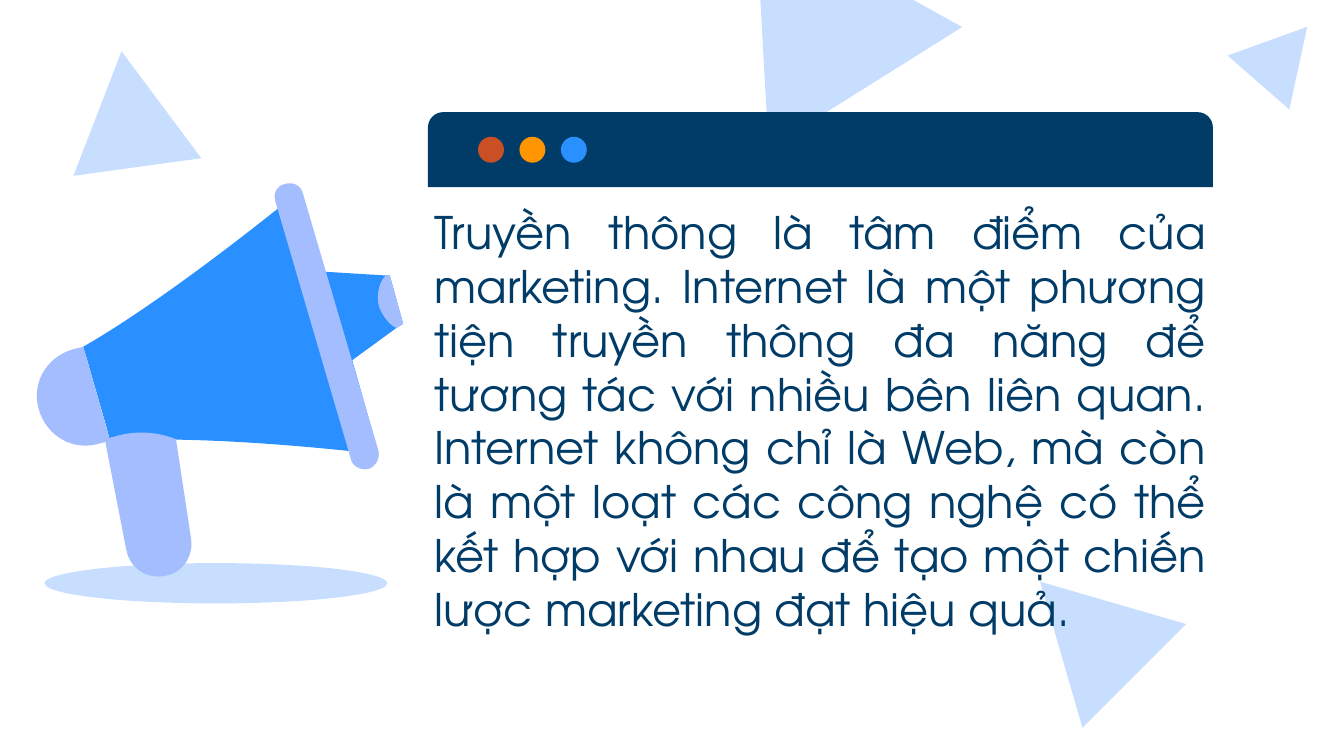
from math import cos, radians, sin

from lxml import etree
from pptx import Presentation
from pptx.dml.color import RGBColor
from pptx.enum import shapes, text
from pptx.oxml import ns
from pptx.util import Pt

# Colours
WHITE = RGBColor(0xFF, 0xFF, 0xFF)
NAVY = RGBColor(0x00, 0x3C, 0x67)
BLUE = RGBColor(0x2A, 0x90, 0xFF)
ORANGE = RGBColor(0xFF, 0x95, 0x00)
RED = RGBColor(0xCA, 0x4F, 0x24)
PALE = RGBColor(0xC8, 0xDE, 0xFF)
LILAC = RGBColor(0xA3, 0xBD, 0xFF)

# Content, lengths in points
BODY = (
    "Truyền thông là tâm điểm của marketing. Internet là một phương tiện "
    "truyền thông đa năng để tương tác với nhiều bên liên quan. Internet "
    "không chỉ là Web, mà còn là một loạt các công nghệ có thể kết hợp với "
    "nhau để tạo một chiến lược marketing đạt hiệu quả."
)
BODY_BOX = (225.5, 135.7, 427.7, 178.6)
FONT = "TeX Gyre Adventor"

TRIANGLES = [  # left, top, width, height, rotation
    (373, -55.4, 122.4, 110.9, 327.9),
    (34.8, 27.2, 69.1, 62.6, 352.2),
    (665.3, 9.5, 43.9, 39.6, 41.2),
    (543.2, 301.2, 78.5, 71.3, 315),
]

# Outlines: a pair is a corner, six numbers are a Bezier curve to the last pair
WINDOW = [
    (WHITE, [(229.3, 100.3), (229.3, 273.9), (229.3, 278.6, 232.9, 282.2, 237.6, 282.2),
             (641.5, 282.2), (646.2, 282.2, 649.8, 278.6, 649.8, 273.9),
             (649.8, 100.3)]),
    (NAVY, [(237.6, 60.1), (232.9, 60.1, 229.3, 63.8, 229.3, 68.4), (229.3, 100.3),
            (649.8, 100.3), (649.8, 68.4), (649.8, 63.8, 646.2, 60.1, 641.5, 60.1)]),
]
DOT_COLOURS = [RED, ORANGE, BLUE]
DOT_LEFT, DOT_TOP, DOT_SIZE, DOT_STEP = 256.1, 73.3, 13.9, 22.2

SHADOW_BOX = (23.8, 301.7, 183.6, 21.6)
MEGAPHONE_TILT = 343.7
MEGAPHONE = [
    # mouthpiece and its end
    (BLUE, [(171.4, 145.4), (185.8, 195.1), (212.4, 175.7), (216, 173.5),
            (208.8, 147.6), (206.6, 147.6)]),
    (LILAC, [(206.6, 147.6), (203, 151.2, 201.6, 157.7, 203, 164.2),
             (205.2, 169.9, 208.8, 174.2, 212.4, 175.7), (216, 173.5),
             (208.8, 147.6)]),
    # cone
    (BLUE, [(161, 102), (161, 102, 93.6, 157.7, 44.6, 185.8), (46.8, 193),
            (56.9, 228.2), (59, 236.2), (115.9, 232.6, 203, 243.4, 203, 243.4),
            (187.9, 190.1), (177.1, 154.8)]),
    # rim
    (LILAC, [(152.6, 98.6), (148.3, 99.4, 146.2, 103.7, 147.6, 108),
             (187.9, 245.5), (188.6, 249.8, 193, 252, 197.3, 251.3),
             (201.6, 249.8, 203.8, 245.5, 202.7, 241.2), (162.3, 103.7),
             (161.3, 99.4, 157, 97.2, 152.6, 98.6)]),
    # round cap
    (LILAC, [(38.9, 187.2), (24.5, 191.5, 16.6, 205.9, 20.9, 219.6),
             (25.2, 234, 39.6, 241.9, 53.3, 237.6), (59, 236.2), (44.6, 185.8)]),
    # handle
    (LILAC, [(61.2, 234), (59.8, 234, 58.3, 234.7, 56.2, 235.4), (67.7, 294.5),
             (69.8, 305.3, 79.9, 311, 90, 308.2),
             (98.6, 306, 103.7, 297.4, 102.4, 288.7), (94.3, 235.4),
             (94.3, 235.4, 79.2, 228.2, 61.2, 234)]),
]


def paint(shape, colour):
    shape.shadow.inherit = False
    shape.fill.solid()
    shape.fill.fore_color.rgb = colour
    shape.line.fill.background()
    return shape


def add_preset(slide, kind, box, colour):
    return paint(slide.shapes.add_shape(kind, *map(Pt, box)), colour)


def turn(x, y, degrees):
    angle = radians(degrees)
    return x * cos(angle) - y * sin(angle), x * sin(angle) + y * cos(angle)


def bend(shape, outline):
    """Join each run of three segments that belongs to a curve."""
    segments = iter(list(shape.element.iter(ns.qn("a:lnTo"))))
    for step in outline[1:]:
        parts = [next(segments) for _ in range(len(step) // 2)]
        if len(parts) == 3:
            curve = etree.Element(ns.qn("a:cubicBezTo"))
            parts[0].addprevious(curve)
            for part in parts:
                curve.append(part[0])
                part.getparent().remove(part)


def add_outline(slide, colour, outline, tilt=0):
    """Draw the outline upright, then tilt it back into place."""
    points = [tuple(map(Pt, turn(*step[i:i + 2], -tilt)))
              for step in outline for i in range(0, len(step), 2)]
    builder = slide.shapes.build_freeform(*points[0])
    builder.add_line_segments(points[1:], close=True)
    shape = paint(builder.convert_to_shape(), colour)
    bend(shape, outline)
    centre_x, centre_y = turn(shape.left + shape.width / 2,
                              shape.top + shape.height / 2, tilt)
    shape.left = round(centre_x - shape.width / 2)
    shape.top = round(centre_y - shape.height / 2)
    shape.rotation = tilt
    return shape


def main():
    presentation = Presentation()
    presentation.slide_width, presentation.slide_height = Pt(720), Pt(405)
    slide = presentation.slides.add_slide(presentation.slide_layouts[0])
    title = slide.shapes.title.element
    title.getparent().remove(title)
    body = slide.placeholders[1]

    # Background triangles
    for *box, rotation in TRIANGLES:
        triangle = add_preset(slide, shapes.MSO_SHAPE.ISOSCELES_TRIANGLE, box, PALE)
        triangle.rotation = rotation

    # Browser window
    window = [add_outline(slide, *part) for part in WINDOW]
    for i, colour in enumerate(DOT_COLOURS):
        box = (DOT_LEFT + i * DOT_STEP, DOT_TOP, DOT_SIZE, DOT_SIZE)
        window.append(add_preset(slide, shapes.MSO_SHAPE.OVAL, box, colour))
    slide.shapes.add_group_shape(window)

    # Body text, in front of the window
    slide.shapes.element.append(body.element)
    body.left, body.top, body.width, body.height = map(Pt, BODY_BOX)
    frame = body.text_frame
    frame.word_wrap = True
    frame.auto_size = text.MSO_AUTO_SIZE.NONE
    frame.vertical_anchor = text.MSO_ANCHOR.MIDDLE
    frame.margin_left = frame.margin_right = Pt(7.2)
    frame.margin_top = frame.margin_bottom = Pt(7.2)
    paragraph = frame.paragraphs[0]
    paragraph.alignment = text.PP_ALIGN.JUSTIFY
    paragraph.space_before = Pt(0)
    run = paragraph.add_run()
    run.text = BODY
    run.font.name, run.font.size = FONT, Pt(24)
    run.font.color.rgb = NAVY

    # Megaphone
    megaphone = [add_preset(slide, shapes.MSO_SHAPE.OVAL, SHADOW_BOX, PALE)]
    megaphone += [add_outline(slide, *part, MEGAPHONE_TILT) for part in MEGAPHONE]
    slide.shapes.add_group_shape(megaphone)

    presentation.save("out.pptx")


if __name__ == "__main__":
    main()
